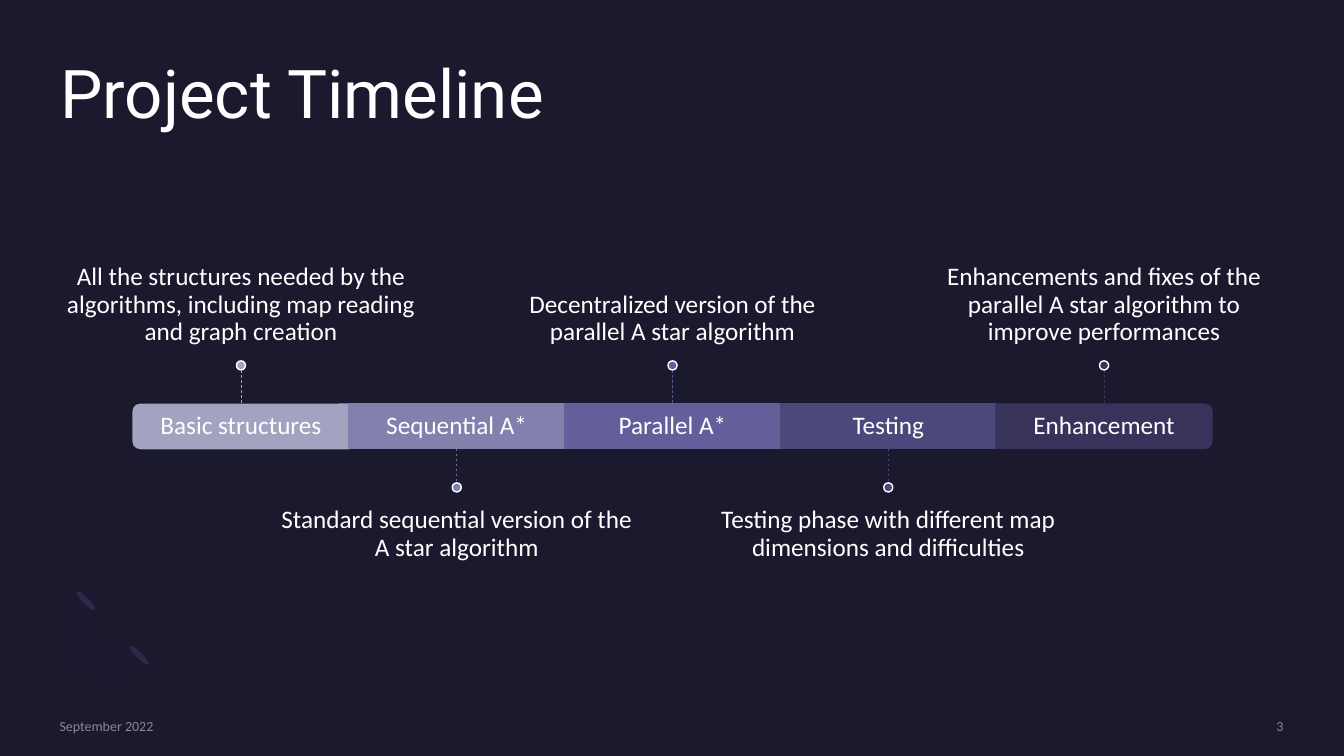
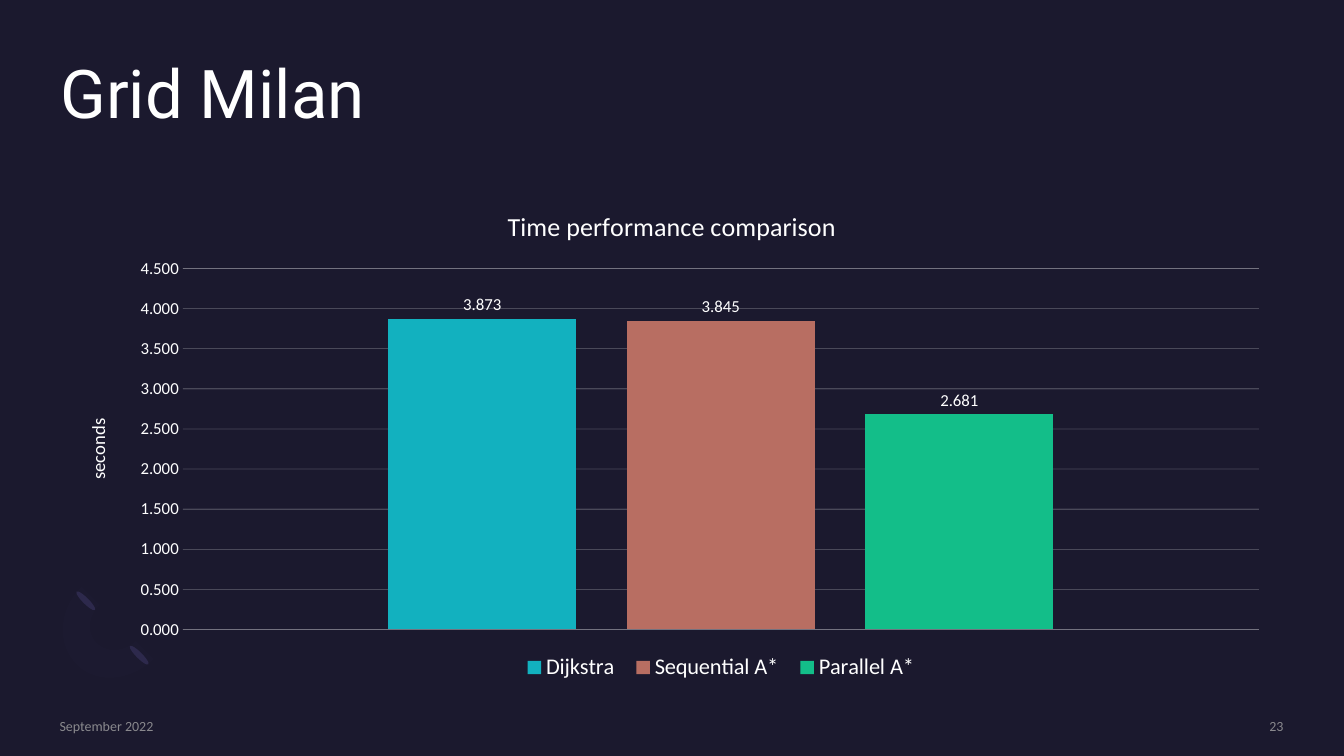
"""Build a project timeline slide and a performance chart slide."""
from dataclasses import dataclass

from lxml.etree import SubElement
from pptx import Presentation
from pptx.chart.data import CategoryChartData
from pptx.dml.color import RGBColor
from pptx.enum.chart import XL_CHART_TYPE, XL_LABEL_POSITION, XL_LEGEND_POSITION, XL_TICK_MARK
from pptx.enum.dml import MSO_LINE
from pptx.enum.shapes import MSO_CONNECTOR, MSO_SHAPE
from pptx.enum.text import MSO_ANCHOR, PP_ALIGN
from pptx.oxml.ns import qn
from pptx.util import Inches, Pt

COLORS = {
    "background": "1B192E",
    "text": "FFFFFF",
    "footer": "A6A6A6",
    "petal": "2C284A",
    "arc": "7771B2",
}
TITLE_FONT = "Roboto"
BODY_FONT = "Calibri"

BAR_LEFT, BAR_TOP = 1.32, 4.01
STEP_W, STEP_H = 2.14, 0.44
STEM, DOT = 0.34, 0.09
NOTE_W, NOTE_H = 3.57, 1.52

ARC_CURVES = [
    [(0.76, 6.59), (0.56, 6.39), (0.58, 6.05), (0.81, 5.82)],
    [(0.99, 6.0), (0.87, 6.11), (0.86, 6.29), (0.96, 6.38)],
    [(0.96, 6.38), (1.06, 6.48), (1.23, 6.47), (1.35, 6.36)],
    [(1.52, 6.54), (1.3, 6.76), (0.95, 6.79), (0.76, 6.59)],
]


@dataclass
class Milestone:
    name: str
    note: str
    fill: str
    stem: str


@dataclass
class Timing:
    name: str
    seconds: float
    fill: str


MILESTONES = [
    Milestone("Basic structures",
              "All the structures needed by the algorithms, including map reading and graph creation",
              "A3A3C1", "A3A3C1"),
    Milestone("Sequential A*", "Standard sequential version of the A star algorithm",
              "8281AE", "6E6CA3"),
    Milestone("Parallel A*", "Decentralized version of the parallel A star algorithm",
              "625F9A", "59568E"),
    Milestone("Testing", "Testing phase with different map dimensions and difficulties",
              "4C487B", "484475"),
    Milestone("Enhancement",
              "Enhancements and fixes of the parallel A star algorithm to improve performances",
              "37335B", "37335B"),
]
TIMINGS = [
    Timing("Dijkstra", 3.873, "12B1BF"),
    Timing("Sequential A*", 3.845, "B86E62"),
    Timing("Parallel A*", 2.681, "13BE89"),
]


def rgb(value: str) -> RGBColor:
    return RGBColor.from_string(value)


def set_alpha(element, percent: int) -> None:
    for color in element.iter(qn("a:srgbClr")):
        SubElement(color, qn("a:alpha")).set("val", str(percent * 1000))


def format_font(font, size: float, name: str = BODY_FONT, color: str = COLORS["text"]) -> None:
    font.size, font.name, font.bold = Pt(size), name, False
    font.color.rgb = rgb(color)


def write_text(tf, text: str, *, size: float, font: str = BODY_FONT,
               color: str = COLORS["text"], align=None, spacing: float | None = None) -> None:
    p = tf.paragraphs[0]
    if align is not None:
        p.alignment = align
    if spacing is not None:
        p.line_spacing = spacing
    r = p.add_run()
    r.text = text
    format_font(r.font, size, font, color)


def frame_text(tf, anchor, top: float = 0, bottom: float = 0) -> None:
    tf.word_wrap = True
    tf.vertical_anchor = anchor
    tf.margin_left = tf.margin_right = 0
    tf.margin_top, tf.margin_bottom = Inches(top), Inches(bottom)


def add_text(s, box: tuple, text: str, *, anchor=MSO_ANCHOR.MIDDLE,
             top: float = 0, bottom: float = 0, **style):
    sp = s.shapes.add_textbox(*map(Inches, box))
    frame_text(sp.text_frame, anchor, top, bottom)
    write_text(sp.text_frame, text, **style)
    return sp


def paint(sp, fill: str, line: str | None = None) -> None:
    sp.shadow.inherit = False
    sp.fill.solid()
    sp.fill.fore_color.rgb = rgb(fill)
    if line is None:
        sp.line.fill.background()
    else:
        sp.line.color.rgb = rgb(line)
        sp.line.width = Pt(1)


def add_shape(s, kind, box: tuple, fill: str, line: str | None = None, rotation: float = 0):
    sp = s.shapes.add_shape(kind, *map(Inches, box))
    sp.rotation = rotation
    paint(sp, fill, line)
    return sp


def add_stem(s, x: float, top: float, color: str) -> None:
    stem = s.shapes.add_connector(MSO_CONNECTOR.STRAIGHT, Inches(x), Inches(top),
                                  Inches(x), Inches(top + STEM))
    stem.line.color.rgb = rgb(color)
    stem.line.width = Pt(0.5)
    stem.line.dash_style = MSO_LINE.DASH
    SubElement(stem.element.spPr, qn("a:effectLst"))


def curve_points(curve: list, steps: int = 10) -> list:
    weights = [((1 - t) ** 3, 3 * t * (1 - t) ** 2, 3 * t * t * (1 - t), t ** 3)
               for t in (i / steps for i in range(steps + 1))]
    return [tuple(Inches(sum(w * pt[axis] for w, pt in zip(ws, curve))) for axis in (0, 1))
            for ws in weights]


def add_ornament(s) -> None:
    for x, y in ((1.35, 6.37), (0.82, 5.83)):
        add_shape(s, MSO_SHAPE.OVAL, (x, y, 0.06, 0.26), COLORS["petal"], rotation=135)
    points = [pt for curve in ARC_CURVES for pt in curve_points(curve)]
    builder = s.shapes.build_freeform(*points[0])
    builder.add_line_segments(points[1:], close=True)
    arc = builder.convert_to_shape()
    paint(arc, COLORS["arc"])
    set_alpha(arc.element.spPr, 2)


def add_slide(prs, title: str, number: int):
    s = prs.slides.add_slide(prs.slide_layouts[5])
    add_ornament(s)
    sp = s.shapes.title
    sp.left, sp.top, sp.width, sp.height = map(Inches, (0.6, 0.6, 12.13, 1.46))
    frame_text(sp.text_frame, MSO_ANCHOR.TOP)
    write_text(sp.text_frame, title, size=48, font=TITLE_FONT, align=PP_ALIGN.LEFT, spacing=0.9)
    for text, left, width, align in (("September 2022", 0.59, 2.88, PP_ALIGN.LEFT),
                                     (str(number), 10.88, 1.85, PP_ALIGN.RIGHT)):
        footer = add_text(s, (left, 7.12, width, 0.17), text, size=10,
                          color=COLORS["footer"], align=align)
        set_alpha(footer.element, 80)
    return s


def add_milestone(s, index: int, item: Milestone) -> None:
    left = BAR_LEFT + index * STEP_W
    center = left + STEP_W / 2
    box = (left, BAR_TOP, STEP_W, STEP_H)
    if index in (0, len(MILESTONES) - 1):
        upright = (center - STEP_H / 2, BAR_TOP + (STEP_H - STEP_W) / 2, STEP_H, STEP_W)
        add_shape(s, MSO_SHAPE.ROUND_2_SAME_RECTANGLE, upright, item.fill, item.fill,
                  270 if index == 0 else 90)
    else:
        add_shape(s, MSO_SHAPE.RECTANGLE, box, item.fill, item.fill)
    style = {"size": 18, "align": PP_ALIGN.CENTER, "spacing": 0.9}
    add_text(s, box, item.name, **style)

    note_left = center - NOTE_W / 2
    if index % 2 == 0:
        stem_top = BAR_TOP - STEM
        dot_top = stem_top - DOT
        add_text(s, (note_left, dot_top - NOTE_H, NOTE_W, NOTE_H), item.note,
                 anchor=MSO_ANCHOR.BOTTOM, bottom=0.15 - DOT + 0.09, **style)
    else:
        stem_top = BAR_TOP + STEP_H
        dot_top = stem_top + STEM
        add_text(s, (note_left, dot_top + DOT, NOTE_W, NOTE_H), item.note,
                 anchor=MSO_ANCHOR.TOP, top=0.15, **style)
    add_stem(s, center, stem_top, item.stem)
    add_shape(s, MSO_SHAPE.OVAL, (center - DOT / 2, dot_top, DOT, DOT), item.fill, COLORS["text"])


def place_part(part, index: int, **settings) -> None:
    for old in part.findall(qn("c:layout")):
        part.remove(old)
    layout = SubElement(part, qn("c:layout"))
    part.insert(index, layout)
    manual = SubElement(layout, qn("c:manualLayout"))
    for tag, value in settings.items():
        SubElement(manual, qn(f"c:{tag}")).set("val", str(value))


def add_timing_chart(s) -> None:
    data = CategoryChartData(number_format="0.000")
    data.categories = ["1"]
    for item in TIMINGS:
        data.add_series(item.name, [item.seconds])
    chart = s.shapes.add_chart(XL_CHART_TYPE.COLUMN_CLUSTERED,
                               *map(Inches, (0.6, 1.86, 12.13, 5.04)), data).chart
    format_font(chart.font, 10)
    chart.has_title = True
    write_text(chart.chart_title.text_frame, "Time performance comparison", size=18.6)

    chart.has_legend = True
    chart.legend.position = XL_LEGEND_POSITION.BOTTOM
    chart.legend.include_in_layout = False
    format_font(chart.legend.font, 16)

    chart.category_axis.visible = False
    axis = chart.value_axis
    axis.minimum_scale, axis.maximum_scale, axis.major_unit = 0, 4.5, 0.5
    axis.major_tick_mark = XL_TICK_MARK.NONE
    axis.format.line.fill.background()
    axis.tick_labels.number_format = "0.000"
    axis.tick_labels.number_format_is_linked = False
    format_font(axis.tick_labels.font, 12)
    axis.has_title = True
    write_text(axis.axis_title.text_frame, "seconds", size=13.3)
    grid = axis.major_gridlines.format.line
    grid.color.rgb = rgb(COLORS["text"])
    grid.width = Pt(0.25)
    set_alpha(chart.element.find(".//" + qn("c:majorGridlines")), 60)

    plot = chart.plots[0]
    plot.vary_by_categories = False
    plot.gap_width, plot.overlap = 219, -27
    for series, item in zip(plot.series, TIMINGS):
        series.format.fill.solid()
        series.format.fill.fore_color.rgb = rgb(item.fill)
        labels = series.data_labels
        labels.show_value = True
        labels.position = XL_LABEL_POSITION.OUTSIDE_END
        labels.number_format = "0.000"
        labels.number_format_is_linked = False
        format_font(labels.font, 12)

    place_part(chart.element.find(".//" + qn("c:plotArea")), 0, layoutTarget="inner",
               xMode="edge", yMode="edge", x=0.1, y=0.16, w=0.88, h=0.71)
    place_part(chart.element.find(".//" + qn("c:legend")), 1,
               xMode="edge", yMode="edge", x=0.37, y=0.91, w=0.34, h=0.07)


def main() -> None:
    prs = Presentation()
    prs.slide_width, prs.slide_height = Inches(13.33), Inches(7.5)
    background = prs.slide_master.background.fill
    background.solid()
    background.fore_color.rgb = rgb(COLORS["background"])

    timeline = add_slide(prs, "Project Timeline", 3)
    for index, item in enumerate(MILESTONES):
        add_milestone(timeline, index, item)
    add_timing_chart(add_slide(prs, "Grid Milan", 23))
    prs.save("out.pptx")


if __name__ == "__main__":
    main()
